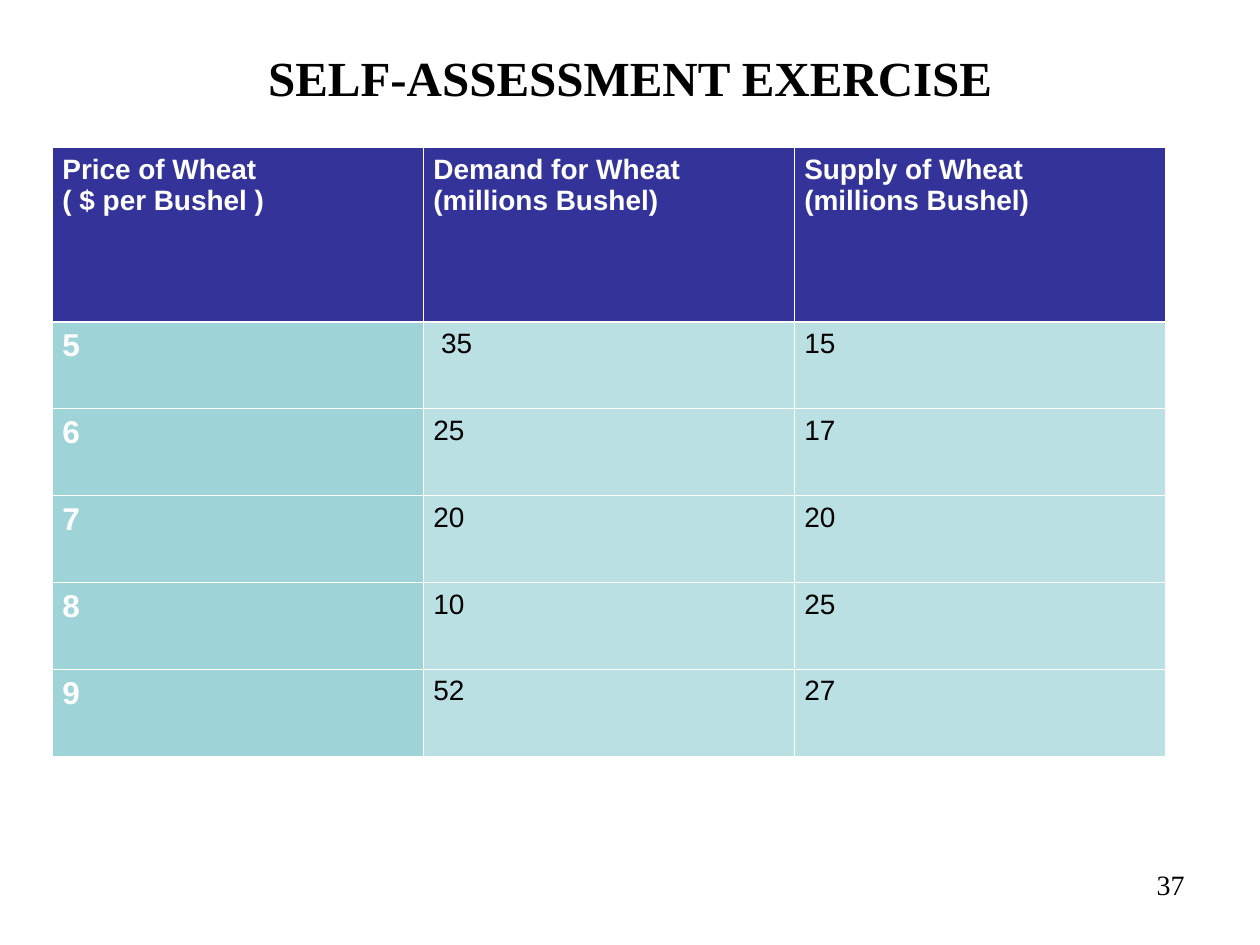
from lxml import etree
from pptx import Presentation
from pptx.dml.color import RGBColor
from pptx.enum.text import MSO_ANCHOR, PP_ALIGN
from pptx.oxml.ns import qn
from pptx.util import Pt

CENTER, RIGHT = PP_ALIGN.CENTER, PP_ALIGN.RIGHT
TOP, MIDDLE = MSO_ANCHOR.TOP, MSO_ANCHOR.MIDDLE
TITLE_ONLY = 5
SERIF, SANS = "Times New Roman", "Arial"
BLACK, WHITE = "000000", "FFFFFF"
NAVY, TEAL, PALE_TEAL = "333399", "9ED3D7", "BBE0E3"
THIN, THICK = 0.45, 1.47

HEADER = [
    ["Price of Wheat", "( $ per Bushel )"],
    ["Demand for Wheat", "(millions Bushel)"],
    ["Supply of Wheat", "(millions Bushel)"],
]
ROWS = [
    ("5", " 35", "15"),
    ("6", "25", "17"),
    ("7", "20", "20"),
    ("8", "10", "25"),
    ("9", "52", "27"),
]


def color(value):
    return RGBColor.from_string(value)


def write(tf, lines, size, font, ink, bold=False, align=None):
    tf.word_wrap = True
    for i, line in enumerate(lines):
        p = tf.paragraphs[0] if i == 0 else tf.add_paragraph()
        p.alignment = align
        r = p.add_run()
        r.text = line
        r.font.size = Pt(size)
        r.font.name = font
        r.font.bold = bold
        r.font.color.rgb = color(ink)


def set_borders(cell, top, bottom):
    tc_pr = cell._tc.get_or_add_tcPr()
    for side, width in (("L", THIN), ("R", THIN), ("T", top), ("B", bottom)):
        line = etree.SubElement(tc_pr, qn(f"a:ln{side}"), w=str(Pt(width)))
        fill = etree.SubElement(line, qn("a:solidFill"))
        etree.SubElement(fill, qn("a:srgbClr"), val=WHITE)


def add_title(s, left, top, width, height):
    title = s.shapes.title
    title.left, title.top = Pt(left), Pt(top)
    title.width, title.height = Pt(width), Pt(height)
    tf = title.text_frame
    tf.vertical_anchor = MIDDLE
    write(tf, ["SELF-ASSESSMENT EXERCISE"], 28, SERIF, BLACK, True, CENTER)


def add_wheat_table(s, left, top, width, height):
    n_rows, n_cols = len(ROWS) + 1, len(HEADER)
    table = s.shapes.add_table(
        n_rows, n_cols, Pt(left), Pt(top), Pt(width), Pt(height)
    ).table
    unit = height / (n_rows + 1)
    for column in table.columns:
        column.width = Pt(width / n_cols)
    for i, row in enumerate(table.rows):
        row.height = Pt(unit * 2 if i == 0 else unit)

    lines = [HEADER] + [[[value] for value in row] for row in ROWS]
    for i, row in enumerate(lines):
        for j, text in enumerate(row):
            cell = table.cell(i, j)
            if i == 0:
                fill, ink, size, bold = NAVY, WHITE, 16, True
            elif j == 0:
                fill, ink, size, bold = TEAL, WHITE, 18, True
            else:
                fill, ink, size, bold = PALE_TEAL, BLACK, 16, False
            set_borders(cell, THICK if i == 1 else THIN, THICK if i == 0 else THIN)
            cell.fill.solid()
            cell.fill.fore_color.rgb = color(fill)
            cell.margin_left = cell.margin_right = Pt(5.5)
            cell.margin_top = cell.margin_bottom = Pt(3.6)
            cell.vertical_anchor = TOP
            write(cell.text_frame, text, size, SANS, ink, bold)


def add_page_number(s, left, top, width, height):
    box = s.shapes.add_textbox(Pt(left), Pt(top), Pt(width), Pt(height))
    write(box.text_frame, ["37"], 16, SERIF, BLACK, align=RIGHT)


def main():
    prs = Presentation()
    prs.slide_width, prs.slide_height = Pt(720), Pt(540)
    s = prs.slides.add_slide(prs.slide_layouts[TITLE_ONLY])
    add_title(s, 36, 21.6, 648, 44.6)
    add_wheat_table(s, 30.2, 84.4, 636, 348)
    add_page_number(s, 516, 492, 168, 37.5)
    prs.save("out.pptx")


if __name__ == "__main__":
    main()
